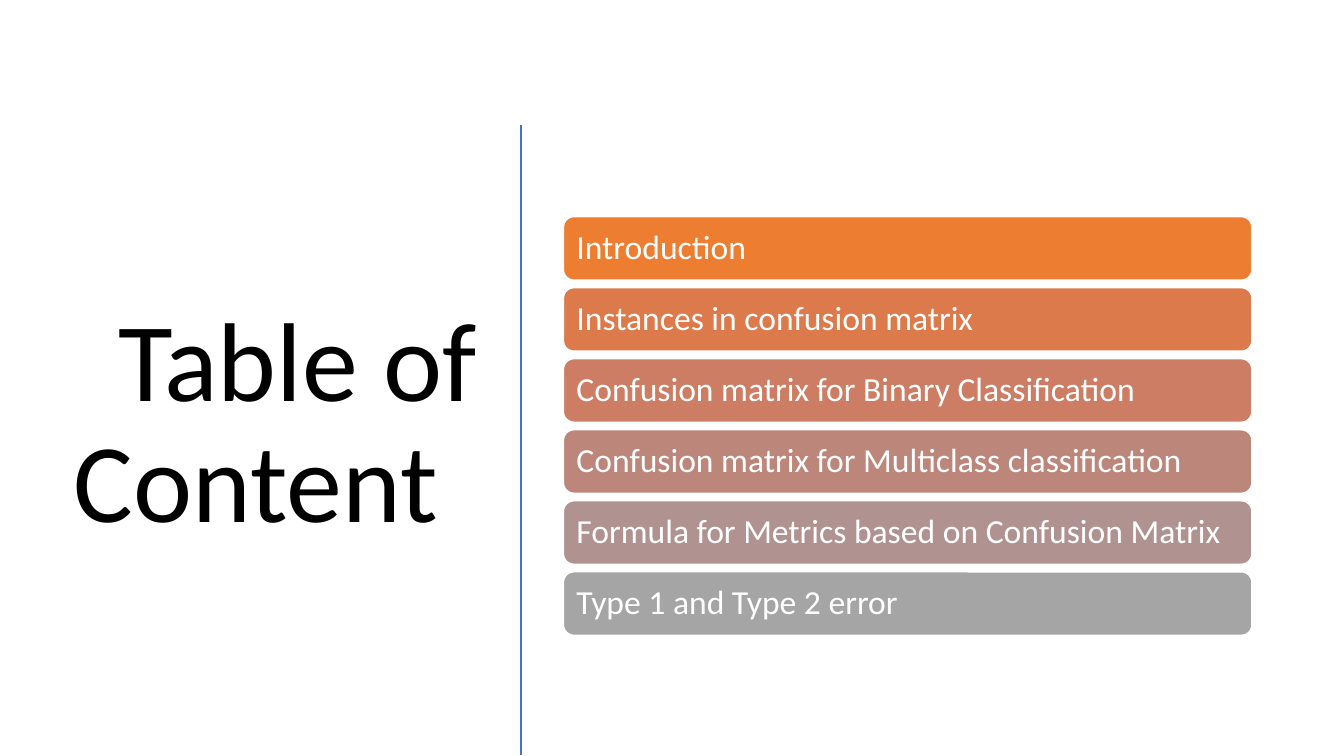
from dataclasses import dataclass

from lxml import etree
from pptx import Presentation
from pptx.dml.color import RGBColor
from pptx.enum.shapes import MSO_CONNECTOR, MSO_SHAPE
from pptx.enum.text import MSO_ANCHOR, PP_ALIGN
from pptx.oxml.ns import qn
from pptx.util import Cm, Pt

ROUNDED = MSO_SHAPE.ROUNDED_RECTANGLE
STRAIGHT = MSO_CONNECTOR.STRAIGHT
MIDDLE = MSO_ANCHOR.MIDDLE
LEFT, RIGHT = PP_ALIGN.LEFT, PP_ALIGN.RIGHT


@dataclass(frozen=True)
class Theme:
    font: str = "Calibri"
    title_size: int = 80
    topic_size: int = 24
    title_color: str = "000000"
    topic_color: str = "FFFFFF"
    outline: str = "FFFFFF"
    divider: str = "4472C4"
    line_spacing: float = 0.9


TOPICS = [
    ("Introduction", "ED7D31"),
    ("Instances in confusion matrix", "DC7A4B"),
    ("Confusion matrix for Binary Classification", "CC7D64"),
    ("Confusion matrix for Multiclass classification", "BD867B"),
    ("Formula for Metrics based on Confusion Matrix", "B09391"),
    ("Type 1 and Type 2 error", "A5A5A5"),
]
TOPIC_LEFT, TOPIC_TOP = 14.2, 5.46
TOPIC_WIDTH, TOPIC_HEIGHT, TOPIC_PITCH = 17.35, 1.6, 1.79


class ContentsSlide:
    """Holds the theme and the slide that its methods draw on."""

    def __init__(self, slide, theme):
        self.slide = slide
        self.theme = theme

    def add_text(self, frame, text, size, color, align):
        frame.word_wrap = True
        frame.vertical_anchor = MIDDLE
        paragraph = frame.paragraphs[0]
        paragraph.alignment = align
        paragraph.line_spacing = self.theme.line_spacing
        run = paragraph.add_run()
        run.text = text
        run.font.name = self.theme.font
        run.font.size = Pt(size)
        run.font.color.rgb = RGBColor.from_string(color)

    def title(self, text, left, top, width, height):
        heading = self.slide.shapes.add_textbox(Cm(left), Cm(top), Cm(width), Cm(height))
        self.add_text(heading.text_frame, text, self.theme.title_size,
                      self.theme.title_color, RIGHT)

    def divider(self, x, top, bottom):
        rule = self.slide.shapes.add_connector(STRAIGHT, Cm(x), Cm(top), Cm(x), Cm(bottom))
        rule.line.color.rgb = RGBColor.from_string(self.theme.divider)
        rule.line.width = Pt(2)
        etree.SubElement(rule.element.find(qn("p:spPr")), qn("a:effectLst"))

    def topic(self, text, fill, left, top, width, height):
        bar = self.slide.shapes.add_shape(ROUNDED, Cm(left), Cm(top), Cm(width), Cm(height))
        bar.shadow.inherit = False
        bar.fill.solid()
        bar.fill.fore_color.rgb = RGBColor.from_string(fill)
        bar.line.color.rgb = RGBColor.from_string(self.theme.outline)
        bar.line.width = Pt(1)
        self.add_text(bar.text_frame, text, self.theme.topic_size,
                      self.theme.topic_color, LEFT)


def main():
    deck = Presentation()
    deck.slide_width, deck.slide_height = Cm(33.87), Cm(19.05)
    contents = ContentsSlide(deck.slides.add_slide(deck.slide_layouts[6]), Theme())

    contents.title("Table of Content\t", 1.32, 2.97, 10.95, 15.52)
    contents.divider(13.13, 3.15, 19.02)
    for row, (topic, fill) in enumerate(TOPICS):
        contents.topic(topic, fill, TOPIC_LEFT, TOPIC_TOP + row * TOPIC_PITCH,
                       TOPIC_WIDTH, TOPIC_HEIGHT)

    deck.save("out.pptx")


if __name__ == "__main__":
    main()
